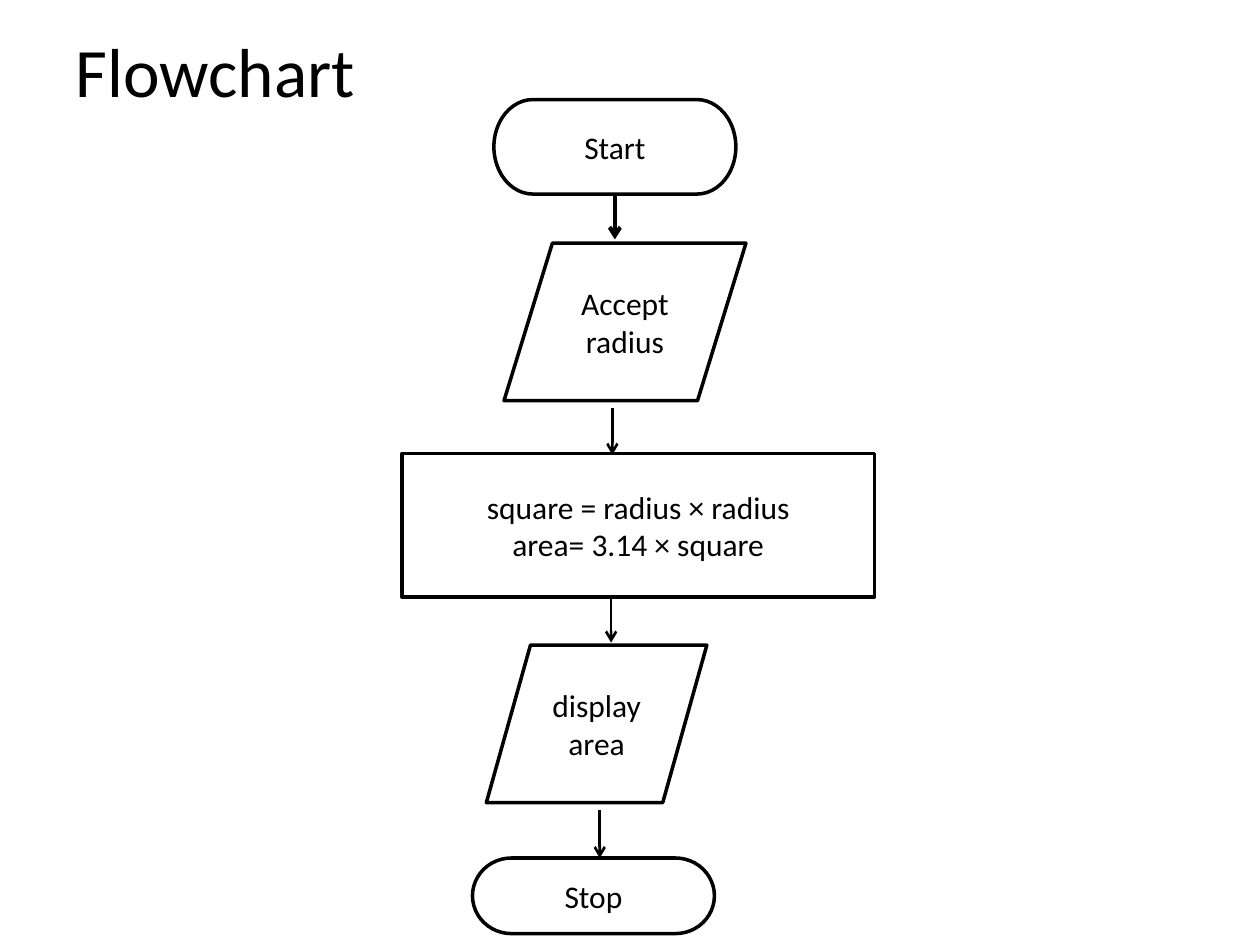
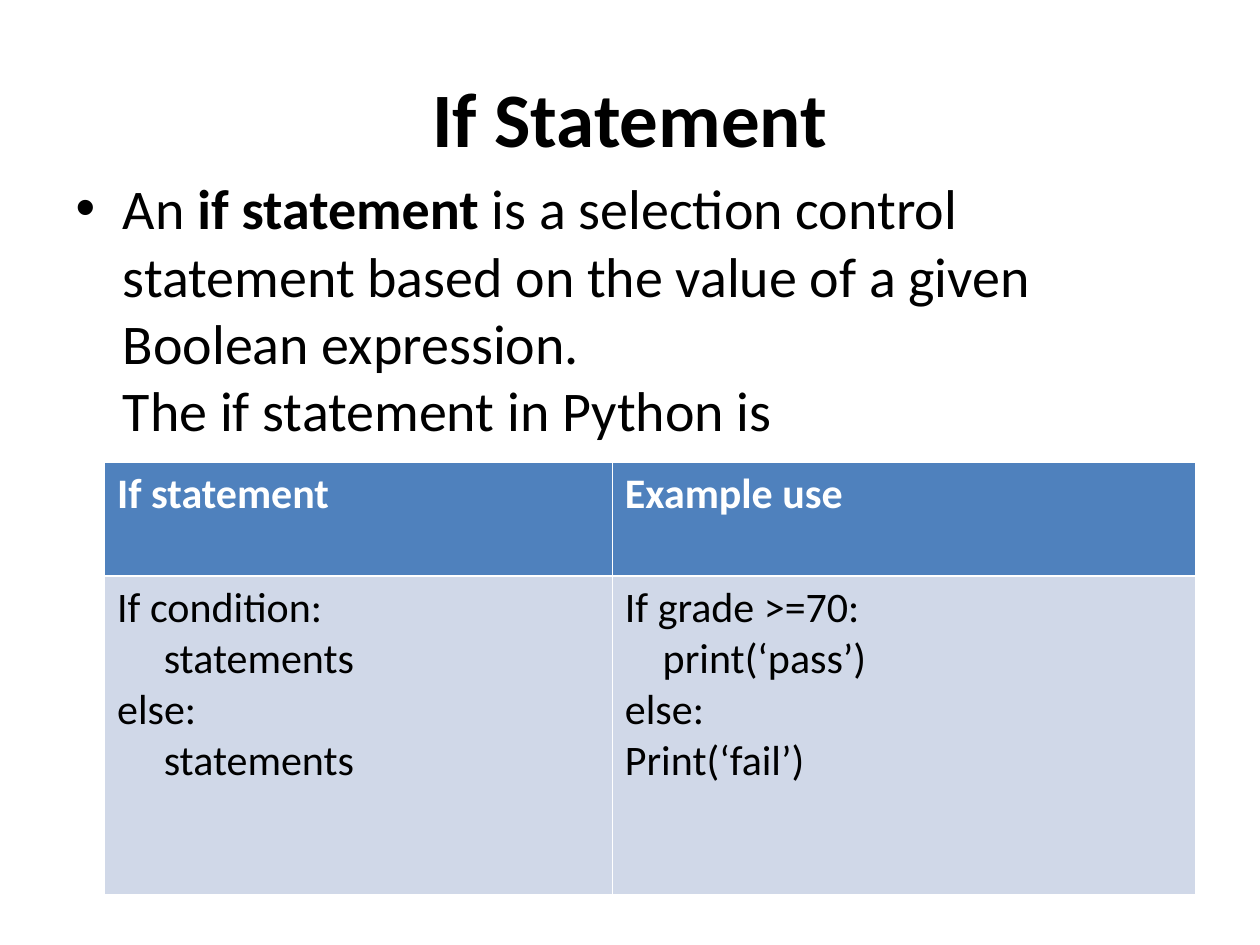
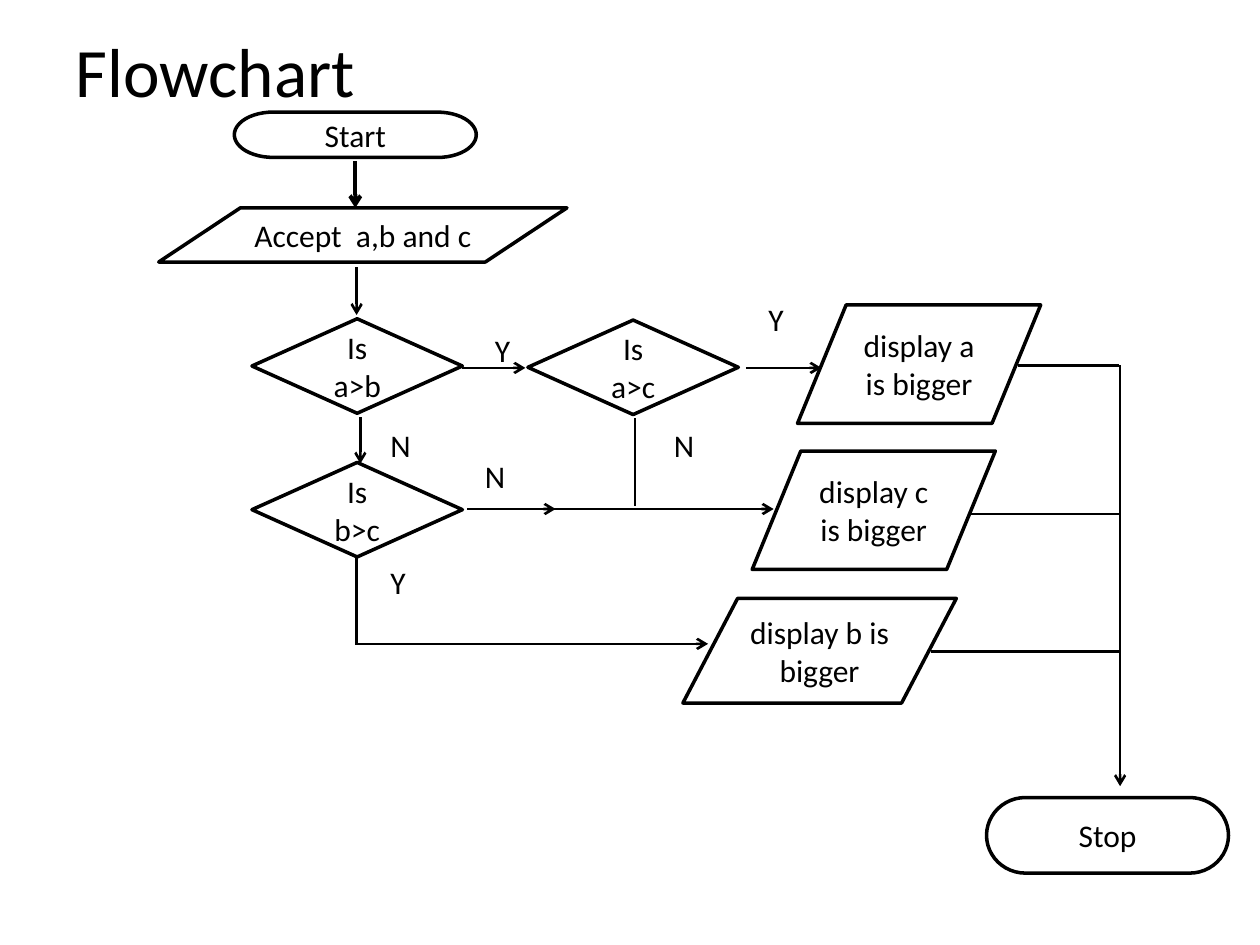
from lxml import etree
from pptx import Presentation
from pptx.dml.color import RGBColor
from pptx.enum.shapes import MSO_CONNECTOR, MSO_SHAPE
from pptx.enum.text import MSO_ANCHOR, MSO_AUTO_SIZE, PP_ALIGN
from pptx.oxml.ns import qn
from pptx.util import Inches, Pt

BLACK = RGBColor(0x00, 0x00, 0x00)
WHITE = RGBColor(0xFF, 0xFF, 0xFF)
BLUE = RGBColor(0x4F, 0x81, 0xBD)
PALE = RGBColor(0xD0, 0xD8, 0xE8)
FONT = "Calibri"
LEFT, MID = PP_ALIGN.LEFT, PP_ALIGN.CENTER
CENTER = MSO_ANCHOR.MIDDLE
FIXED = MSO_AUTO_SIZE.NONE
LINE = MSO_CONNECTOR.STRAIGHT
OVAL = MSO_SHAPE.FLOWCHART_TERMINATOR
SLANT = MSO_SHAPE.FLOWCHART_DATA
RECT = MSO_SHAPE.FLOWCHART_PROCESS
GEM = MSO_SHAPE.FLOWCHART_DECISION

HEAD = {"size": Pt(39.6), "bold": False}
BOLD = {"size": Pt(44), "bold": True}
BODY = {"size": Pt(32), "bold": False}
NODE = {"size": Pt(18), "bold": False}
CELL = {"size": Pt(24), "bold": False}
TOP = {"size": Pt(24), "bold": True}


def write(frame, text, form, align=LEFT, color=BLACK):
    frame.word_wrap = True
    frame.text = text
    for para in frame.paragraphs:
        para.alignment = align
        for run in para.runs:
            run.font.name = FONT
            run.font.color.rgb = color
            for name, value in form.items():
                setattr(run.font, name, value)


def place(shape, box):
    for name, value in zip(("left", "top", "width", "height"), box):
        setattr(shape, name, Inches(value))


deck = Presentation()
deck.slide_width, deck.slide_height = Inches(10), Inches(7.5)
TEXT, ONLY = deck.slide_layouts[1], deck.slide_layouts[5]

pages = []
for layout, title, box, form, align in (
    (ONLY, "Flowchart", (0.5, 0.33, 9, 0.45), HEAD, LEFT),
    (TEXT, "If Statement", (0.5, 0.3, 9, 1.25), BOLD, MID),
    (ONLY, "Flowchart", (0.5, 0.33, 9, 0.45), HEAD, LEFT),
):
    page = deck.slides.add_slide(layout)
    head = page.shapes.title
    place(head, box)
    write(head.text_frame, title, form, align)
    head.text_frame.auto_size = FIXED
    head.text_frame.vertical_anchor = CENTER
    pages.append(page)
circle, branch, biggest = pages

body = branch.placeholders[1]
place(body, (0.5, 1.33, 9, 4.95))
write(body.text_frame, "An ", BODY)
body.text_frame.auto_size = FIXED
para = body.text_frame.paragraphs[0]
for words, bold in (
    ("if statement ", True),
    ("is a selection control statement based on the value of a given "
     "Boolean expression.", False),
    ("The if statement in Python is", False),
):
    if words.startswith("The"):
        para.add_line_break()
    run = para.add_run()
    run.text = words
    for name, value in {"name": FONT, "size": Pt(32), "bold": bold}.items():
        setattr(run.font, name, value)
    run.font.color.rgb = BLACK

grid = branch.shapes.add_table(
    2, 2, Inches(0.83), Inches(3.67), Inches(8.66), Inches(3.43)).table
for part, wide in zip(grid.columns, (4.03, 4.63)):
    part.width = Inches(wide)
for part, high in zip(grid.rows, (0.9, 2.53)):
    part.height = Inches(high)
for col, (title, code, dent, deep) in enumerate((
    ("If statement", "If condition:\nstatements\nelse:\nstatements",
     0.37, (1, 3)),
    ("Example use", "If grade >=70:\nprint(‘pass’)\nelse:\nPrint(‘fail’)",
     0.3, (1,)),
)):
    for row, text, form, color, fill in (
        (0, title, TOP, WHITE, BLUE), (1, code, CELL, BLACK, PALE)
    ):
        cell = grid.cell(row, col)
        cell.fill.solid()
        cell.fill.fore_color.rgb = fill
        write(cell.text_frame, text, form, color=color)
    for spot in deep:
        props = cell.text_frame.paragraphs[spot]._p.get_or_add_pPr()
        props.set("marL", str(Inches(dent)))

nodes = (
    (circle, OVAL, (3.92, 0.79, 1.92, 0.75), "Start"),
    (circle, SLANT, (4, 1.93, 1.92, 1.25), "Accept radius"),
    (circle, RECT, (3.19, 3.6, 3.75, 1.14),
     "square = radius × radius\narea= 3.14 × square"),
    (circle, SLANT, (3.86, 5.12, 1.75, 1.25), "display area"),
    (circle, OVAL, (3.75, 6.81, 1.92, 0.6), "Stop"),
    (biggest, OVAL, (1.86, 0.89, 1.92, 0.36), "Start"),
    (biggest, SLANT, (1.26, 1.65, 3.24, 0.43), "Accept  a,b and c"),
    (biggest, GEM, (2, 2.53, 1.67, 0.75), "Is\na>b"),
    (biggest, GEM, (4.19, 2.54, 1.67, 0.75), "Is\na>c"),
    (biggest, GEM, (2, 3.67, 1.67, 0.75), "Is\nb>c"),
    (biggest, SLANT, (6.33, 2.42, 1.93, 0.94), "display a is bigger"),
    (biggest, SLANT, (5.97, 3.58, 1.93, 0.94), "display c is bigger"),
    (biggest, SLANT, (5.42, 4.75, 2.17, 0.83), "display b is bigger"),
    (biggest, OVAL, (7.83, 6.33, 1.92, 0.6), "Stop"),
)
for page, kind, box, text in nodes:
    node = page.shapes.add_shape(kind, *map(Inches, box))
    node.shadow.inherit = False
    node.fill.background()
    node.line.color.rgb = BLACK
    node.line.width = Pt(2)
    frame = node.text_frame
    write(frame, text, NODE, MID)
    for name, value in {"margin_left": Inches(0.08),
                        "margin_right": Inches(0.08),
                        "vertical_anchor": CENTER}.items():
        setattr(frame, name, value)

for text, left, top in (
    ("Y", 3, 4.42), ("N", 3, 3.33), ("Y", 6, 2.33),
    ("N", 3.75, 3.58), ("N", 5.25, 3.33), ("Y", 3.83, 2.58),
):
    label = biggest.shapes.add_textbox(
        *map(Inches, (left, top, 0.33, 0.4)))
    write(label.text_frame, text, NODE)

links = (
    (circle, (4.88, 1.53, 4.88, 1.9), 2.25, True),
    (circle, (4.86, 3.24, 4.86, 3.61), 1.5, True),
    (circle, (4.85, 4.72, 4.85, 5.1), 1.5, True),
    (circle, (4.76, 6.43, 4.76, 6.81), 1.5, True),
    (biggest, (2.82, 1.28, 2.82, 1.65), 2.25, True),
    (biggest, (2.83, 2.12, 2.83, 2.5), 1.5, True),
    (biggest, (2.86, 3.31, 2.86, 3.68), 1.5, True),
    (biggest, (3.67, 2.92, 4.17, 2.92), 1.5, True),
    (biggest, (5.92, 2.92, 6.52, 2.92), 1.5, True),
    (biggest, (3.71, 4.04, 4.41, 4.04), 1.5, True),
    (biggest, (4.39, 4.04, 5.59, 4.04), 1.5, False),
    (biggest, (5.04, 4.04, 6.14, 4.04), 1.5, True),
    (biggest, (5.04, 3.32, 5.04, 4.02), 1.5, False),
    (biggest, (2.83, 4.42, 2.83, 5.12), 1.5, False),
    (biggest, (2.82, 5.11, 5.62, 5.11), 1.5, True),
    (biggest, (8.08, 2.9, 8.88, 2.9), 1.5, False),
    (biggest, (7.68, 4.08, 8.88, 4.08), 1.5, False),
    (biggest, (7.39, 5.17, 8.89, 5.17), 1.5, False),
    (biggest, (8.89, 2.9, 8.89, 6.24), 1.5, True),
)
for page, ends, width, tip in links:
    link = page.shapes.add_connector(LINE, *map(Inches, ends))
    link.line.color.rgb = BLACK
    link.line.width = Pt(width)
    if tip:
        etree.SubElement(link.line._get_or_add_ln(), qn("a:tailEnd"),
                         type="arrow")
    etree.SubElement(link._element.spPr, qn("a:effectLst"))

deck.save("out.pptx")
